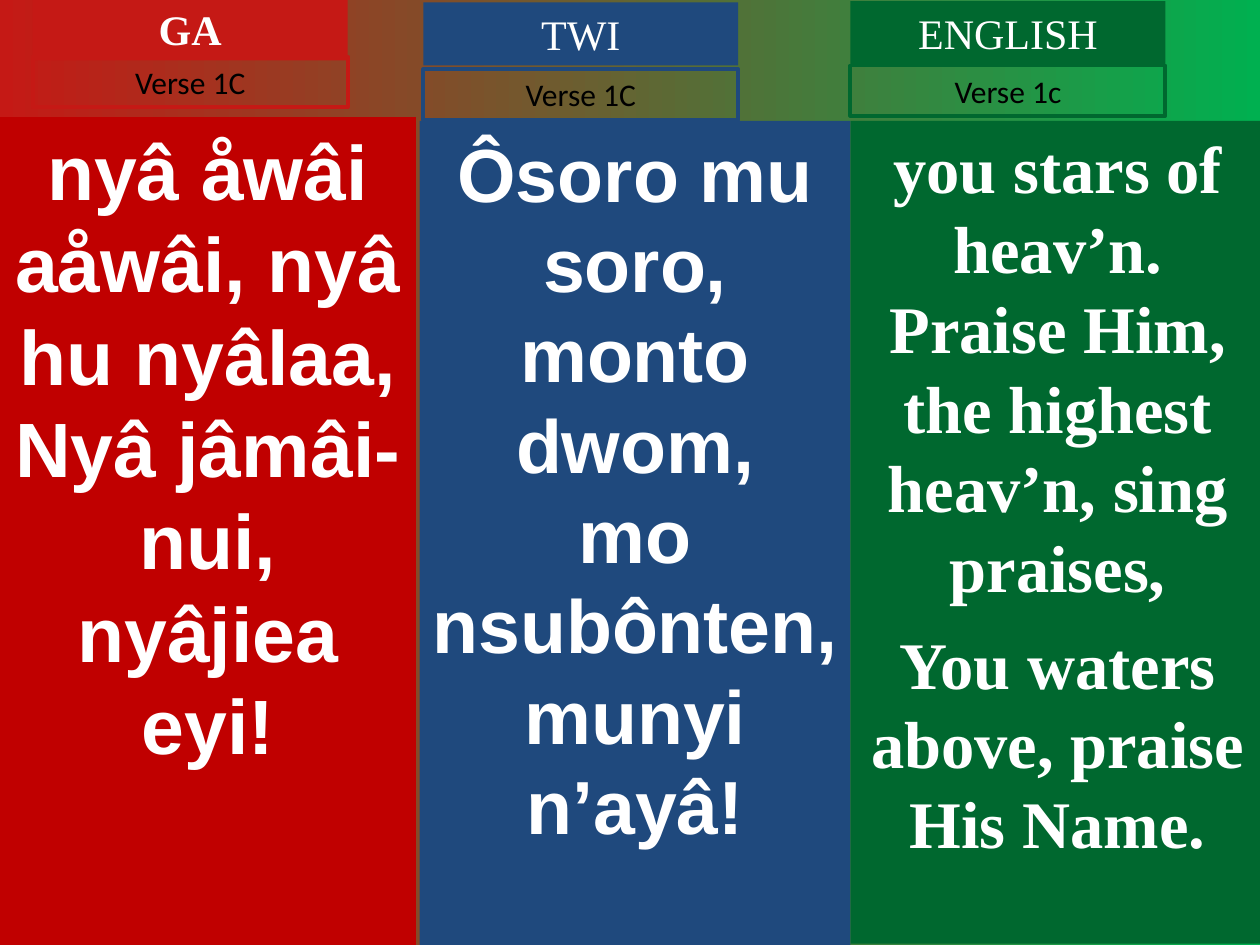
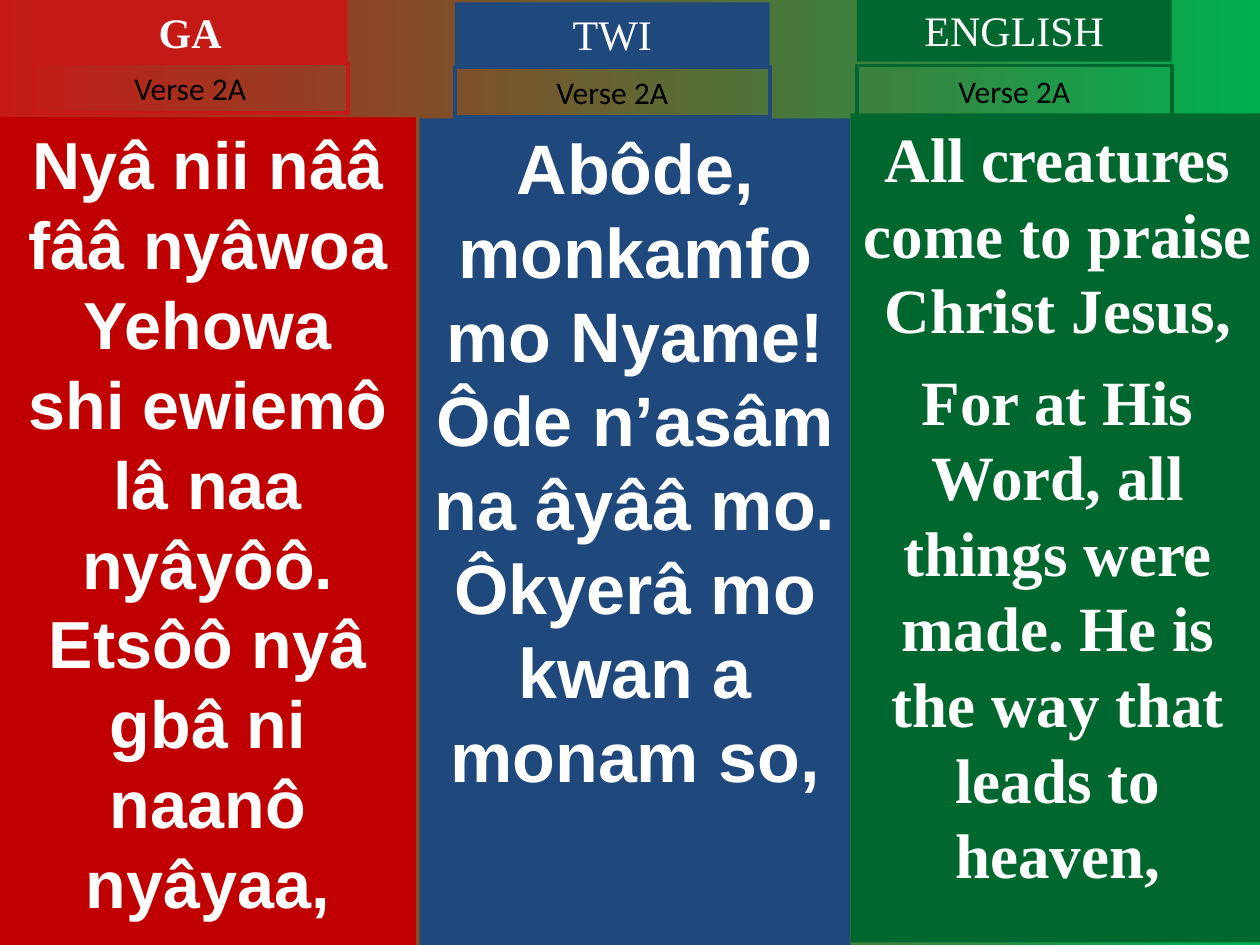
from dataclasses import dataclass
from pptx import Presentation
from pptx.dml.color import RGBColor
from pptx.enum.shapes import MSO_SHAPE
from pptx.enum.text import MSO_ANCHOR, MSO_AUTO_SIZE, PP_ALIGN
from pptx.oxml.ns import qn
from pptx.util import Inches, Pt

RECT = MSO_SHAPE.RECTANGLE
TOP = MSO_ANCHOR.TOP
FIXED = MSO_AUTO_SIZE.NONE
CENTER = PP_ALIGN.CENTER


@dataclass(frozen=True)
class Theme:
    start: str = "C51915"
    end: str = "00B050"
    light: str = "FFFFFF"
    dark: str = "000000"
    serif: str = "Times New Roman"
    sans: str = "Arial"
    label: str = "Calibri"
    head: int = 24
    verse: int = 18
    rule: float = 2.25
    gap: float = 0.25


THEME = Theme()
WIDE, HIGH = 10, 7.5
TAB, HEAD, VERSE = 2.5, 0.5, 0.4

TONGUES = [
    dict(name="GA", left=0, width=3.3, fill="C00000", tint=THEME.start,
         font=THEME.sans, bold=True, gap=0),
    dict(name="TWI", left=3.33, width=3.42, fill="1F497D", tint="1F497D",
         font=THEME.sans, bold=False, gap=0),
    dict(name="ENGLISH", left=6.75, width=3.29, fill="00682F", tint="00682F",
         font=THEME.serif, bold=False, gap=THEME.gap),
]

SLIDES = [
    [
        dict(verse="Verse 1C", size=44, tab=0.26, tops=(-0.02, 0.45, 0.93), foot=HIGH,
             lines=["nyâ åwâi aåwâi, nyâ hu nyâlaa,",
                    "Nyâ jâmâi-nui, nyâjiea eyi!"]),
        dict(verse="Verse 1C", size=43, tab=3.36, tops=(0.02, 0.55, 0.96), foot=HIGH,
             lines=["Ôsoro mu soro, monto dwom,",
                    "mo nsubônten, munyi n’ayâ!"]),
        dict(verse="Verse 1c", size=38, tab=6.75, tops=(0.01, 0.52, 0.96), foot=7.49,
             lines=["you stars of heav’n. Praise Him, the highest heav’n, sing praises,",
                    "You waters above, praise His Name."]),
    ],
    [
        dict(verse="Verse 2A", size=38, tab=0.26, tops=(0, 0.5, 0.93), foot=HIGH,
             lines=["Nyâ nii nââ fââ nyâwoa Yehowa",
                    "shi ewiemô lâ naa nyâyôô.",
                    "Etsôô nyâ gbâ ni naanô nyâyaa,"]),
        dict(verse="Verse 2A", size=40, tab=3.61, tops=(0.02, 0.53, 0.94), foot=HIGH,
             lines=["Abôde, monkamfo mo Nyame!",
                    "Ôde n’asâm na âyââ mo.",
                    "Ôkyerâ mo kwan a monam so,"]),
        dict(verse="Verse 2A", size=36, tab=6.8, tops=(-0.01, 0.52, 0.9), foot=7.48,
             lines=["All creatures come to praise Christ Jesus,",
                    "For at His Word, all things were made. "
                    "He is the way that leads to heaven,"]),
    ],
]


def rgb(code):
    return RGBColor.from_string(code)


def place(slide, spot, fill=None, line=None, holder=None):
    left, top, width, height = map(Inches, spot)
    if holder is None:
        box = slide.shapes.add_shape(RECT, left, top, width, height)
        box.shadow.inherit = False
    else:
        box = holder
        box.left, box.top, box.width, box.height = left, top, width, height
    if fill:
        box.fill.solid()
        box.fill.fore_color.rgb = rgb(fill)
    else:
        box.fill.background()
    if line:
        box.line.color.rgb = rgb(line)
        box.line.width = Pt(THEME.rule)
    else:
        box.line.fill.background()
    return box


def write(box, lines, font, size, color, bold=False, gap=0):
    frame = box.text_frame
    frame.text = "\n".join(lines)
    frame.word_wrap = True
    frame.auto_size = FIXED
    frame.vertical_anchor = TOP
    for rank, para in enumerate(frame.paragraphs):
        props = para._p.get_or_add_pPr()
        props.set("marL", "0")
        props.set("indent", "0")
        props.append(props.makeelement(qn("a:buNone"), {}))
        para.alignment = CENTER
        para.space_before = Pt(size * gap if rank else 0)
        for run in para.runs:
            run.font.name = font
            run.font.size = Pt(size)
            run.font.bold = bold
            run.font.color.rgb = rgb(color)


def column(slide, tongue, part, title=None, body=None):
    head, verse, top = part["tops"]
    spot = tongue["left"], top, tongue["width"], part["foot"] - top
    panel = place(slide, spot, fill=tongue["fill"], holder=body)
    write(panel, part["lines"], tongue["font"], part["size"], THEME.light,
          True, tongue["gap"])
    name = place(slide, (part["tab"], head, TAB, HEAD), fill=tongue["tint"], holder=title)
    write(name, [tongue["name"]], THEME.serif, THEME.head, THEME.light, tongue["bold"])
    label = place(slide, (part["tab"], verse, TAB, VERSE), line=tongue["tint"])
    write(label, [part["verse"]], THEME.label, THEME.verse, THEME.dark)


def main():
    deck = Presentation()
    deck.slide_width, deck.slide_height = Inches(WIDE), Inches(HIGH)
    back = deck.slide_master.background.fill
    back.gradient()
    back.gradient_angle = 0
    for stop, code in zip(back.gradient_stops, (THEME.start, THEME.end)):
        stop.color.rgb = rgb(code)
    for parts in SLIDES:
        slide = deck.slides.add_slide(deck.slide_layouts[1])
        holders = [(slide.shapes.title, slide.placeholders[1]), (), ()]
        for tongue, part, pair in zip(TONGUES, parts, holders):
            column(slide, tongue, part, *pair)
    deck.save("out.pptx")


if __name__ == "__main__":
    main()
